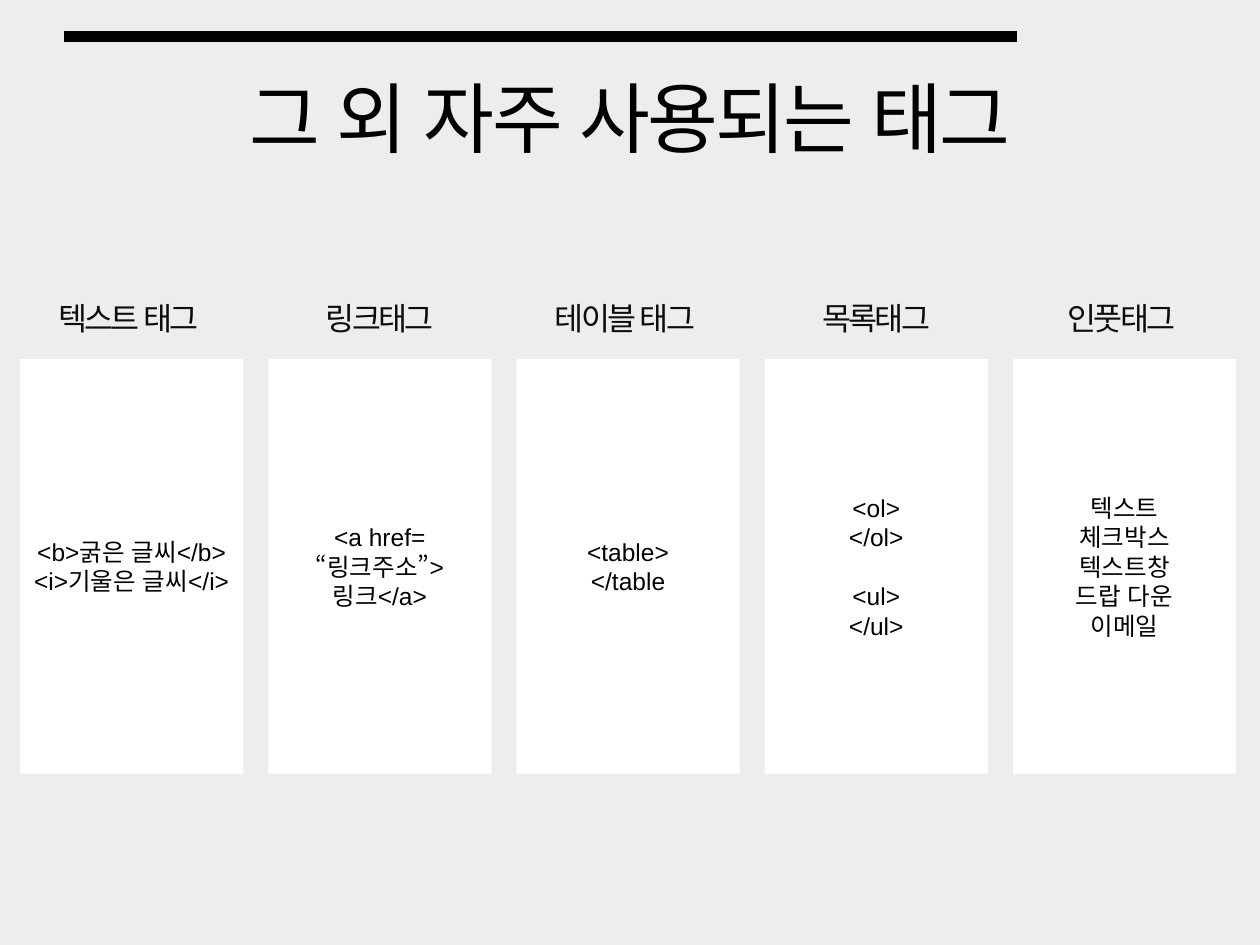
from lxml.etree import SubElement
from pptx import Presentation
from pptx.dml.color import RGBColor
from pptx.enum.lang import MSO_LANGUAGE_ID as Lang
from pptx.enum.shapes import MSO_CONNECTOR as Connector, MSO_SHAPE as Shape
from pptx.enum.text import MSO_ANCHOR as Anchor, PP_ALIGN as Align
from pptx.oxml import parse_xml
from pptx.oxml.ns import nsdecls, qn
from pptx.util import Inches, Pt

WIDTH, HEIGHT = 10, 7.5
LEFT, PITCH, COLUMN = 0.16, 1.97, 1.77
LABEL_TOP, LABEL_HEIGHT = 2.18, 0.68
CARD_TOP, CARD_HEIGHT = 2.85, 3.29
HANGUL = "Noto Sans CJK KR"

TITLE = {"name": "Montserrat", "size": Pt(44), "color": "000000"}
LABEL = {"name": HANGUL, "size": Pt(18), "color": "0D0D0D"}
CARD = {"name": "Arial", "size": Pt(14), "color": "000000"}

COLUMNS = [
    ("텍스트 태그 ", [["<b>굵은 글씨</b>", "<i>기울은 글씨</i>"]]),
    ("링크태그", [["<a href=", "“링크주소”>", "링크</a>"]]),
    ("테이블 태그 ", [["<table>", "</table"]]),
    ("목록태그", [["<ol>", "</ol>"], ["<ul>", "</ul>"]]),
    ("인풋태그 ", [["텍스트", "체크박스", "텍스트창", "드랍 다운", "이메일"]]),
]


def color(value):
    return RGBColor.from_string(value)


def column_area(column, top, height):
    return [Inches(v) for v in (LEFT + column * PITCH, top, COLUMN, height)]


def style_span(span, style, tight):
    for key, value in style.items():
        if key == "color":
            span.font.color.rgb = color(value)
        else:
            setattr(span.font, key, value)
    span.font.language_id = Lang.KOREAN
    properties = span.font._element
    SubElement(properties, qn("a:ea"), typeface=HANGUL)
    if tight:
        properties.set("spc", "-150")


def write(box, groups, style, tight=False):
    frame = box.text_frame
    frame.word_wrap = True
    frame.vertical_anchor = Anchor.MIDDLE
    para = None
    for group in groups:
        for index, text in enumerate(group):
            gap = para is not None and index == 0
            para = frame.add_paragraph() if para is not None else frame.paragraphs[0]
            para.alignment = Align.CENTER
            if gap:
                para.space_before = Pt(16.8)
            span = para.add_run()
            span.text = text
            style_span(span, style, tight)


def add_title(page, text):
    title = page.shapes.title
    area = {"left": 0.05, "top": 0.04, "width": 0.9, "height": 1 / 6}
    for key, share in area.items():
        side = WIDTH if key in ("left", "width") else HEIGHT
        setattr(title, key, Inches(share * side))
    write(title, [[text]], TITLE, tight=True)


def add_rule(page):
    ends = [Inches(v) for v in (0.51, 0.29, 8.07, 0.29)]
    rule = page.shapes.add_connector(Connector.STRAIGHT, *ends)
    rule.line.color.rgb = color("000000")
    rule.line.width = Pt(6)
    SubElement(rule._element.spPr, qn("a:effectLst"))


def add_label(page, column, text):
    box = page.shapes.add_textbox(*column_area(column, LABEL_TOP, LABEL_HEIGHT))
    write(box, [[text]], LABEL, tight=True)
    properties = box.text_frame.paragraphs[0].runs[0].font._element
    shadow = parse_xml(
        f'<a:effectLst {nsdecls("a")}><a:outerShdw blurRad="38100" dist="38100" '
        'dir="2700000"><a:srgbClr val="000000"><a:alpha val="43000"/>'
        "</a:srgbClr></a:outerShdw></a:effectLst>"
    )
    properties.find(qn("a:solidFill")).addnext(shadow)


def add_card(page, column, groups):
    area = column_area(column, CARD_TOP, CARD_HEIGHT)
    card = page.shapes.add_shape(Shape.RECTANGLE, *area)
    card.shadow.inherit = False
    card.fill.solid()
    card.fill.fore_color.rgb = color("FFFFFF")
    card.line.fill.background()
    write(card, groups, CARD)


def main():
    deck = Presentation()
    deck.slide_width, deck.slide_height = Inches(WIDTH), Inches(HEIGHT)
    page = deck.slides.add_slide(deck.slide_layouts[5])
    page.background.fill.solid()
    page.background.fill.fore_color.rgb = color("EDEDED")
    add_title(page, "그 외 자주 사용되는 태그")
    add_rule(page)
    for column, (label, groups) in enumerate(COLUMNS):
        add_card(page, column, groups)
        add_label(page, column, label)
    deck.save("out.pptx")


if __name__ == "__main__":
    main()
